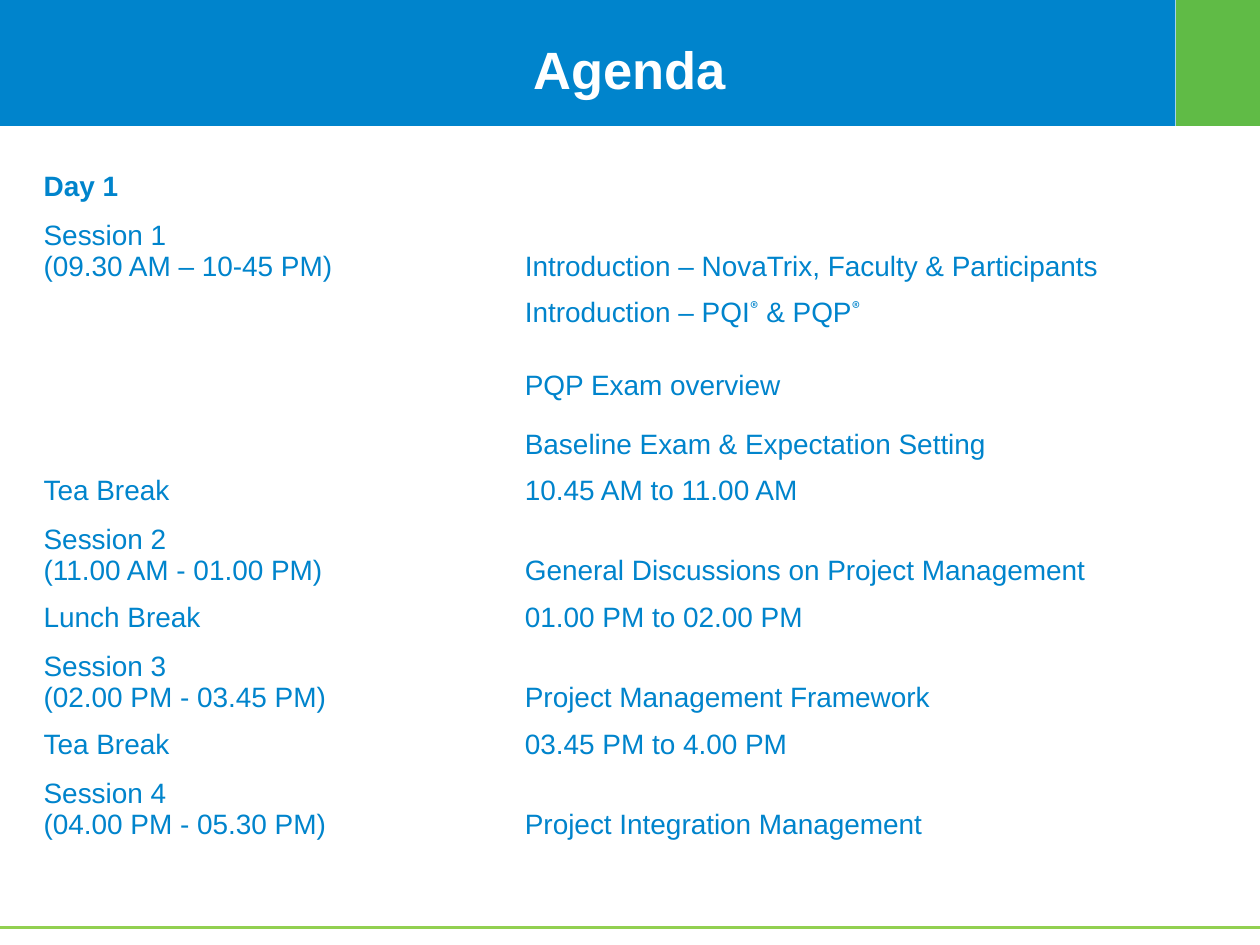
from lxml import etree
from pptx import Presentation
from pptx.dml.color import RGBColor
from pptx.enum import shapes, text
from pptx.oxml.ns import qn
from pptx.util import Pt

BLUE, GREEN, LIME, WHITE = "0084CC", "60BB46", "92D050", "FFFFFF"
MARK = "®"
AGENDA = [
    (34, "Day 1", ""),
    (46, "Session 1\n(09.30 AM – 10-45 PM)", "Introduction – NovaTrix, Faculty & Participants"),
    (30.25, "", "Introduction – PQI® & PQP®"),
    (37.5, "", "PQP Exam overview"),
    (33.75, "", "Baseline Exam & Expectation Setting"),
    (26.75, "Tea Break", "10.45 AM to 11.00 AM"),
    (45.75, "Session 2\n(11.00 AM - 01.00 PM)", "General Discussions on Project Management"),
    (26.75, "Lunch Break", "01.00 PM to 02.00 PM"),
    (45.75, "Session 3\n(02.00 PM - 03.45 PM)", "Project Management Framework"),
    (26.75, "Tea Break", "03.45 PM to 4.00 PM"),
    (45.75, "Session 4\n(04.00 PM - 05.30 PM)", "Project Integration Management"),
]


def color(value):
    return RGBColor.from_string(value)


def add_run(paragraph, content, size=16, fill=BLUE, bold=False, font="Arial", baseline=0):
    run = paragraph.add_run()
    run.text = content
    run.font.name = font
    run.font.size = Pt(size)
    run.font.bold = bold
    run.font.color.rgb = color(fill)
    if baseline:
        run.font._element.set("baseline", str(baseline * 1000))


def write(frame, content, align=text.PP_ALIGN.LEFT, **style):
    for index, line in enumerate(content.split("\n")):
        paragraph = frame.add_paragraph() if index else frame.paragraphs[0]
        paragraph.alignment = align
        for position, part in enumerate(line.split(MARK)):
            if position:
                add_run(paragraph, MARK, bold=True, font="Vollkorn", baseline=30)
            if part:
                add_run(paragraph, part, **style)


def add_band(slide, left, width, fill):
    band = slide.shapes.add_shape(shapes.MSO_SHAPE.RECTANGLE, Pt(left), 0, Pt(width), Pt(72))
    band.shadow.inherit = False
    band.fill.solid()
    band.fill.fore_color.rgb = color(fill)
    band.line.fill.background()


def add_rule(slide, top):
    rule = slide.shapes.add_connector(shapes.MSO_CONNECTOR.STRAIGHT, Pt(720), Pt(top), 0, Pt(top))
    rule.line.color.rgb = color(LIME)
    rule.line.width = Pt(1.25)
    etree.SubElement(rule._element.spPr, qn("a:effectLst"))


def add_agenda(slide):
    widths = (275, 409)
    height = sum(row[0] for row in AGENDA)
    table = slide.shapes.add_table(
        len(AGENDA), 2, Pt(17.75), Pt(85), Pt(sum(widths)), Pt(height)).table
    table.first_row = table.horz_banding = False
    for column, width in zip(table.columns, widths):
        column.width = Pt(width)
    for row, (row_height, *entries) in zip(table.rows, AGENDA):
        row.height = Pt(row_height)
        for cell, entry in zip(row.cells, entries):
            cell.fill.background()
            cell.vertical_anchor = text.MSO_ANCHOR.BOTTOM
            write(cell.text_frame, entry, bold=entry.startswith("Day"))


def add_title(slide, content):
    title = slide.shapes.title
    title.left, title.top, title.width, title.height = 0, 0, Pt(720), Pt(78)
    title.text_frame.auto_size = text.MSO_AUTO_SIZE.NONE
    title.text_frame.vertical_anchor = text.MSO_ANCHOR.MIDDLE
    write(title.text_frame, content, align=text.PP_ALIGN.CENTER, size=30, fill=WHITE, bold=True)
    slide.shapes._spTree.append(title._element)


def main():
    deck = Presentation()
    deck.slide_width, deck.slide_height = Pt(720), Pt(540)
    slide = deck.slides.add_slide(deck.slide_layouts[5])
    add_band(slide, -0.75, 672.5, BLUE)
    add_band(slide, 672, 48, GREEN)
    add_rule(slide, 530)
    add_agenda(slide)
    add_title(slide, "Agenda")
    deck.save("out.pptx")


if __name__ == "__main__":
    main()
